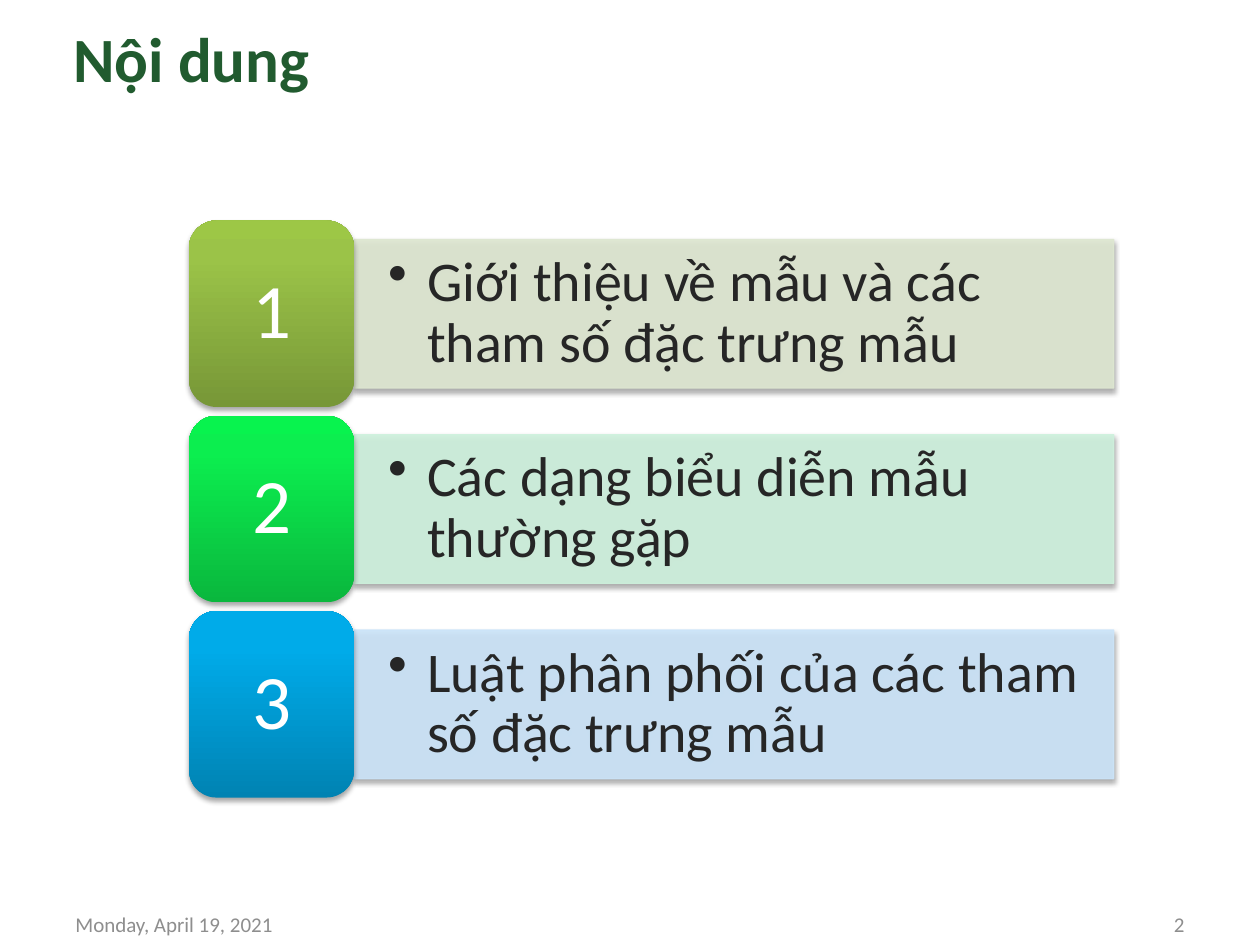
from dataclasses import dataclass

from lxml.etree import SubElement
from pptx import Presentation
from pptx.dml.color import RGBColor
from pptx.enum.shapes import MSO_SHAPE as Shape
from pptx.enum.text import MSO_ANCHOR as Anchor, PP_ALIGN as Align
from pptx.oxml.ns import qn
from pptx.util import Inches, Pt

FONT = "Calibri"
TITLE_GREEN = RGBColor(0x21, 0x5B, 0x2F)
FOOTER_GREY = RGBColor(0x8E, 0x8E, 0x8E)
INK = RGBColor(0x26, 0x26, 0x26)
WHITE = RGBColor(0xFF, 0xFF, 0xFF)

# Row grid, in inches
FIRST_ROW, ROW_PITCH = 1.75, 1.55
BADGE_LEFT, BADGE_WIDTH, BADGE_HEIGHT = 1.5, 1.31, 1.48
BAR_WIDTH, BAR_HEIGHT = 6.03, 1.18
BAR_OPACITY = 90


@dataclass
class Topic:
    text: str
    bar: RGBColor
    gradient: tuple  # badge colours at 0, 80 and 100 percent, from the bottom


TOPICS = [
    Topic("Giới thiệu về mẫu và các tham số đặc trưng mẫu",
          RGBColor(0xDE, 0xE7, 0xD1), ("779737", "9BC348", "9DC746")),
    Topic("Các dạng biểu diễn mẫu thường gặp",
          RGBColor(0xCE, 0xF1, 0xDD), ("0AB73D", "0CEE4F", "08F34E")),
    Topic("Luật phân phối của các tham số đặc trưng mẫu",
          RGBColor(0xCB, 0xE4, 0xF9), ("0083B3", "00ABE9", "00ABEA")),
]


def write(box, text: str, size: float, color: RGBColor, align=Align.LEFT,
          insets=(0.1, 0.05), bold=False, spacing=1.0, bullet=False) -> None:
    """Fill a shape with one formatted paragraph."""
    frame = box.text_frame
    across, down = (Inches(inset) for inset in insets)
    frame_format = {"word_wrap": True, "vertical_anchor": Anchor.MIDDLE,
                    "margin_left": across, "margin_right": across,
                    "margin_top": down, "margin_bottom": down}
    for name, value in frame_format.items():
        setattr(frame, name, value)
    para = frame.paragraphs[0]
    para.alignment, para.line_spacing = align, spacing
    if bullet:
        props = para._p.get_or_add_pPr()
        props.set("marL", str(Inches(0.31)))
        props.set("indent", str(-Inches(0.31)))
        SubElement(props, qn("a:buChar"), char="•")
    span = para.add_run()
    span.text = text
    for name, value in {"name": FONT, "size": Pt(size), "bold": bold}.items():
        setattr(span.font, name, value)
    span.font.color.rgb = color


def add_shadow(shape) -> None:
    """Give a shape a soft shadow that falls straight down."""
    shape.shadow.inherit = False
    effects = shape._element.spPr.find(qn("a:effectLst"))
    shadow = SubElement(effects, qn("a:outerShdw"), blurRad=str(Pt(3.1)),
                        dist=str(Pt(1.8)), dir="5400000", rotWithShape="0")
    black = SubElement(shadow, qn("a:srgbClr"), val="000000")
    SubElement(black, qn("a:alpha"), val="35000")


def add_bar(page, topic: Topic, top: float) -> None:
    bar = page.shapes.add_shape(
        Shape.RECTANGLE, Inches(BADGE_LEFT + BADGE_WIDTH),
        Inches(top + (BADGE_HEIGHT - BAR_HEIGHT) / 2),
        Inches(BAR_WIDTH), Inches(BAR_HEIGHT))
    bar.fill.solid()
    bar.fill.fore_color.rgb = topic.bar
    bar.line.color.rgb = topic.bar
    bar.line.width = Pt(0.75)
    for color in bar._element.spPr.iter(qn("a:srgbClr")):
        SubElement(color, qn("a:alpha"), val=str(BAR_OPACITY * 1000))
    add_shadow(bar)
    write(bar, topic.text, 32, INK, insets=(0.27, 0.14), spacing=0.9, bullet=True)


def add_badge(page, topic: Topic, number: int, top: float) -> None:
    badge = page.shapes.add_shape(
        Shape.ROUNDED_RECTANGLE, Inches(BADGE_LEFT), Inches(top),
        Inches(BADGE_WIDTH), Inches(BADGE_HEIGHT))
    badge.fill.gradient()
    badge.fill.gradient_angle = 90
    stops = badge._element.spPr.find(".//" + qn("a:gsLst"))
    for stop in list(stops):
        stops.remove(stop)
    for percent, color in zip((0, 80, 100), topic.gradient):
        stop = SubElement(stops, qn("a:gs"), pos=str(percent * 1000))
        SubElement(stop, qn("a:srgbClr"), val=color)
    badge.line.fill.background()
    add_shadow(badge)
    write(badge, str(number), 44, WHITE, Align.CENTER, (0.18, 0.09), spacing=0.9)


def add_footer(page, text: str, left: float, align) -> None:
    box = page.shapes.add_textbox(Inches(left), Inches(7.17), Inches(2.33), Inches(0.33))
    write(box, text, 12, FOOTER_GREY, align)


def main() -> None:
    deck = Presentation()
    deck.slide_width, deck.slide_height = Inches(10), Inches(7.5)
    page = deck.slides.add_slide(deck.slide_layouts[5])

    # Title
    title = page.shapes.title
    place = {"left": 0.48, "top": 0.08, "width": 9.19, "height": 0.75}
    for name, value in place.items():
        setattr(title, name, Inches(value))
    write(title, "Nội dung", 36, TITLE_GREEN, bold=True)

    # Numbered topics
    for row, topic in enumerate(TOPICS):
        top = FIRST_ROW + row * ROW_PITCH
        add_bar(page, topic, top)
        add_badge(page, topic, row + 1, top)

    # Date and page number
    add_footer(page, "Monday, April 19, 2021", 0.5, Align.LEFT)
    add_footer(page, "2", 7.17, Align.RIGHT)

    deck.save("out.pptx")


if __name__ == "__main__":
    main()
